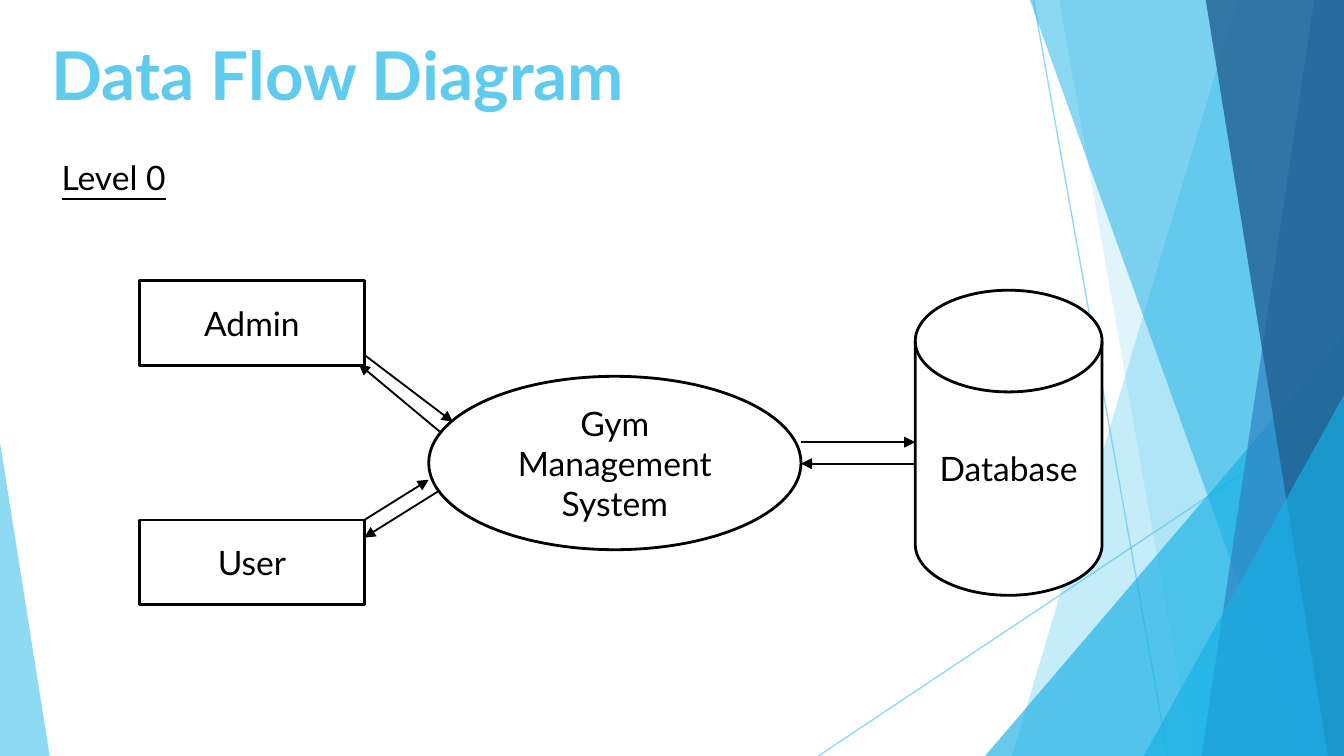
from lxml import etree
from pptx import Presentation
from pptx.dml.color import RGBColor
from pptx.enum import shapes, text
from pptx.oxml import ns
from pptx.util import Inches, Pt

WIDTH = 10
HEIGHT = WIDTH * 9 / 16
SKY = RGBColor(0x5F, 0xCB, 0xEF)
CYAN = RGBColor(0x17, 0xB0, 0xE4)
BLUE = RGBColor(0x2E, 0x83, 0xC3)
NAVY = RGBColor(0x22, 0x62, 0x92)
BLACK = RGBColor(0, 0, 0)
WHITE = RGBColor(0xFF, 0xFF, 0xFF)
SHAPE = shapes.MSO_SHAPE


def set_alpha(sp, percent):
    """Make every direct colour of a shape partly transparent."""
    for color in sp.element.spPr.iter(ns.qn("a:srgbClr")):
        etree.SubElement(color, ns.qn("a:alpha")).set("val", str(percent * 1000))


def tint(sp, color, percent):
    """Give a decorative shape a transparent fill and no outline."""
    sp.shadow.inherit = False
    sp.fill.solid()
    sp.fill.fore_color.rgb = color
    sp.line.fill.background()
    set_alpha(sp, percent)


def add_band(s, top_x, bottom_x, color, percent):
    """Draw a slanted band reaching the right edge of the slide."""
    top = -0.01
    points = [(WIDTH, top), (WIDTH, HEIGHT), (bottom_x, HEIGHT)]
    builder = s.shapes.build_freeform(Inches(top_x), Inches(top))
    builder.add_line_segments([(Inches(x), Inches(y)) for x, y in points])
    tint(builder.convert_to_shape(), color, percent)


def add_corner(s, left, top, width, apex, color, percent):
    """Draw a right triangle standing on the bottom edge."""
    sp = s.shapes.add_shape(SHAPE.ISOSCELES_TRIANGLE, Inches(left), Inches(top),
                            Inches(width), Inches(HEIGHT - top))
    sp.adjustments[0] = apex
    tint(sp, color, percent)


def add_line(s, start, end, color, weight):
    """Draw a straight line without a shadow."""
    line = s.shapes.add_connector(shapes.MSO_CONNECTOR.STRAIGHT,
                                  *map(Inches, start + end))
    line.line.color.rgb = color
    line.line.width = Pt(weight)
    etree.SubElement(line.element.spPr, ns.qn("a:effectLst"))
    return line


def add_arrow(s, start, end):
    """Draw a data flow with an arrowhead at its end."""
    line = add_line(s, start, end, BLACK, 1)
    ln = line.element.spPr.find(ns.qn("a:ln"))
    etree.SubElement(ln, ns.qn("a:tailEnd")).set("type", "triangle")


def write(sp, words, size, color, align):
    """Put one formatted line of text in a shape and return its run."""
    tf = sp.text_frame
    tf.text = words
    tf.word_wrap = True
    p = tf.paragraphs[0]
    p.alignment = align
    r = p.runs[0]
    r.font.name, r.font.size, r.font.color.rgb = "Lato", Pt(size), color
    return r


def add_node(s, kind, words, box):
    """Draw an outlined, labelled node of the diagram."""
    sp = s.shapes.add_shape(kind, *map(Inches, box))
    sp.shadow.inherit = False
    sp.fill.solid()
    sp.fill.fore_color.rgb = WHITE
    sp.line.color.rgb = BLACK
    sp.line.width = Pt(1.5)
    sp.text_frame.vertical_anchor = text.MSO_ANCHOR.MIDDLE
    write(sp, words, 18, BLACK, text.PP_ALIGN.CENTER)


def add_backdrop(s):
    """Draw the faceted decoration on both sides."""
    for start, end in [((7.69, 0), (8.69, HEIGHT)), ((WIDTH, 3.02), (6.09, HEIGHT))]:
        set_alpha(add_line(s, start, end, SKY, 0.75), 70)
    add_band(s, 9.21, 7.53, SKY, 36)
    add_band(s, 7.88, 8.87, SKY, 20)
    add_corner(s, 7.33, 2.5, 2.67, 1, CYAN, 66)
    add_band(s, 7.66, 9.68, CYAN, 50)
    add_band(s, 9.78, 8.94, BLUE, 70)
    add_band(s, 8.97, 9.88, NAVY, 80)
    add_corner(s, 8.51, 2.94, 1.49, 1, CYAN, 66)
    add_corner(s, 0, 3.29, 0.37, 0, SKY, 70)


def add_title(s, words):
    """Move and format the title placeholder."""
    sp = s.shapes.title
    sp.left, sp.top, sp.width, sp.height = map(Inches, (-1.78, 0.08, 8.59, 0.94))
    tf = sp.text_frame
    tf.vertical_anchor = text.MSO_ANCHOR.MIDDLE
    tf.margin_left = tf.margin_right = tf.margin_top = tf.margin_bottom = Inches(0.1)
    r = write(sp, words, 36, SKY, text.PP_ALIGN.CENTER)
    r.font.bold = True
    r._r.get_or_add_rPr().set("kern", "0")


def add_level(s, words):
    """Add the underlined level label."""
    sp = s.shapes.add_textbox(*map(Inches, (0.36, 1.12, 1.35, 0.4)))
    sp.text_frame.auto_size = text.MSO_AUTO_SIZE.SHAPE_TO_FIT_TEXT
    write(sp, words, 18, BLACK, text.PP_ALIGN.LEFT).font.underline = True


def main():
    """Build the data flow slide."""
    prs = Presentation()
    prs.slide_width, prs.slide_height = Inches(WIDTH), Inches(HEIGHT)
    s = prs.slides.add_slide(prs.slide_layouts[5])
    add_backdrop(s)
    add_title(s, "Data Flow Diagram")
    for words, top in [("Admin", 2.09), ("User", 3.87)]:
        add_node(s, SHAPE.RECTANGLE, words, (1.04, top, 1.67, 0.63))
    add_node(s, SHAPE.OVAL, "Gym Management System", (3.19, 2.8, 2.77, 1.29))
    add_node(s, SHAPE.FLOWCHART_MAGNETIC_DISK, "Database", (6.81, 2.16, 1.39, 2.27))
    flows = [
        ((2.71, 2.64), (3.37, 3.14)),
        ((3.27, 3.21), (2.67, 2.71)),
        ((3.27, 3.65), (2.71, 4)),
        ((2.71, 3.87), (3.19, 3.57)),
        ((5.96, 3.29), (6.81, 3.29)),
        ((6.81, 3.45), (5.96, 3.45)),
    ]
    for start, end in flows:
        add_arrow(s, start, end)
    add_level(s, "Level 0")
    prs.save("out.pptx")


if __name__ == "__main__":
    main()
